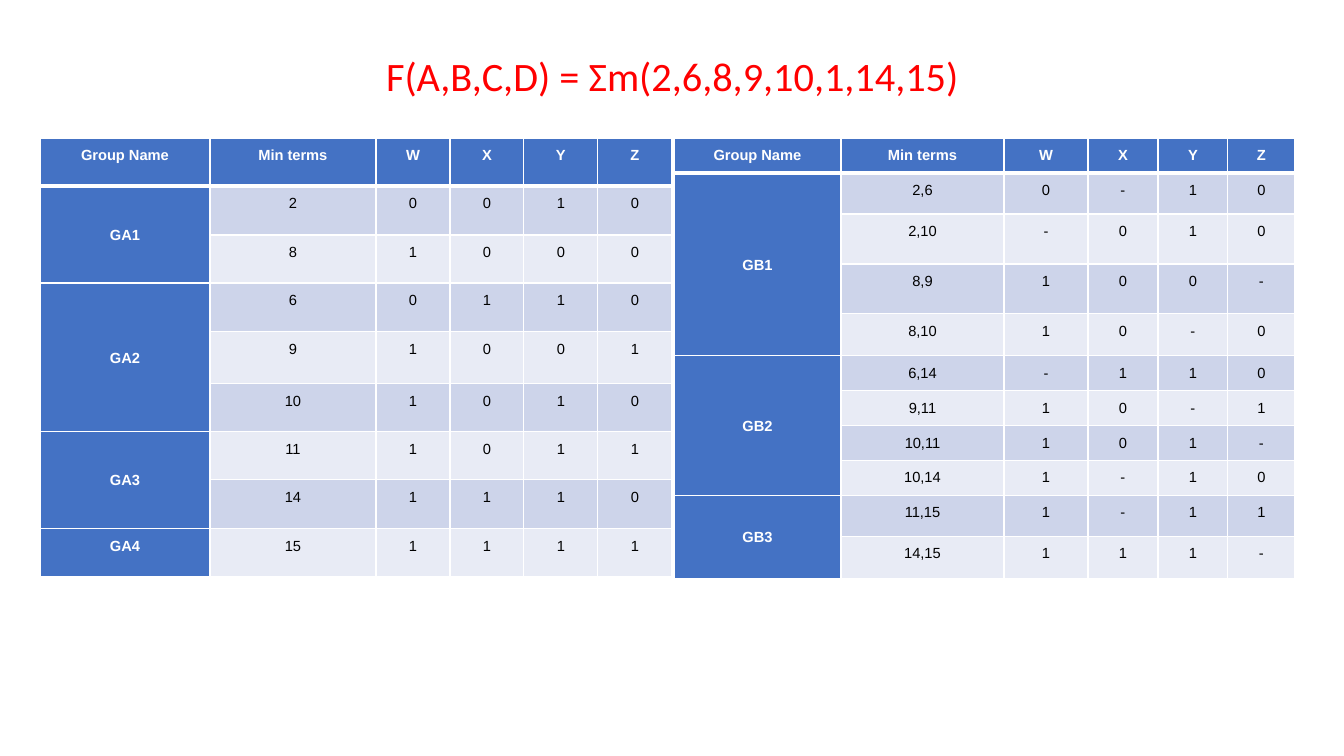
"""Build the slide with the two prime implicant grouping tables."""
import dataclasses
import typing

import lxml.etree
import pptx
import pptx.dml.color
import pptx.enum.text
import pptx.oxml.ns
import pptx.slide
import pptx.table
import pptx.text.text
import pptx.util

EMU_PER_PX = 914400 / 100.8
ANCHOR = pptx.enum.text.MSO_ANCHOR


@dataclasses.dataclass(frozen=True)
class Theme:
    title: str = "FF0000"
    heading: str = "4472C4"
    heading_text: str = "FFFFFF"
    value_text: str = "000000"
    rule: str = "FFFFFF"
    bands: tuple[str, str] = ("E8EBF5", "CDD4EA")
    title_font: str = "Calibri"
    table_font: str = "Arial"
    title_size: float = 28.8
    table_size: float = 10.5
    thin_rule: int = 1
    thick_rule: int = 3


@dataclasses.dataclass(frozen=True)
class Group:
    name: str
    terms: tuple[str, ...]


@dataclasses.dataclass(frozen=True)
class Grouping:
    left: int
    widths: tuple[int, ...]
    heights: tuple[int, ...]
    groups: tuple[Group, ...]


THEME = Theme()
TABLE_TOP = 138
CELL_INSET = 8
HEADINGS = ("Group Name", "Min terms", "W", "X", "Y", "Z")
GROUPINGS = (
    Grouping(
        40,
        (170, 166, 74, 74, 74, 74),
        (48, 49, 48, 49, 52, 48, 48, 49, 48),
        (
            Group("GA1", ("2 0 0 1 0", "8 1 0 0 0")),
            Group("GA2", ("6 0 1 1 0", "9 1 0 0 1", "10 1 0 1 0")),
            Group("GA3", ("11 1 0 1 1", "14 1 1 1 0")),
            Group("GA4", ("15 1 1 1 1",)),
        ),
    ),
    Grouping(
        674,
        (167, 163, 84, 70, 70, 67),
        (35, 41, 50, 50, 42, 35, 34, 35, 34, 41, 42),
        (
            Group("GB1", ("2,6 0 - 1 0", "2,10 - 0 1 0", "8,9 1 0 0 -", "8,10 1 0 - 0")),
            Group("GB2", ("6,14 - 1 1 0", "9,11 1 0 - 1", "10,11 1 0 1 -", "10,14 1 - 1 0")),
            Group("GB3", ("11,15 1 - 1 1", "14,15 1 1 1 -")),
        ),
    ),
)


def px(length: int) -> pptx.util.Emu:
    """Turn px into EMU."""
    return pptx.util.Emu(round(length * EMU_PER_PX))


def rgb(colour: str) -> pptx.dml.color.RGBColor:
    """Turn a hex string into a colour."""
    return pptx.dml.color.RGBColor.from_string(colour)


def write(frame: pptx.text.text.TextFrame, text: str, *, font: str, size: float,
          colour: str, bold: bool = False, spacing: float = 1.07) -> None:
    """Write one centred paragraph into a text frame."""
    frame.word_wrap = True
    paragraph = frame.paragraphs[0]
    paragraph.alignment = pptx.enum.text.PP_ALIGN.CENTER
    paragraph.line_spacing = spacing
    run = paragraph.add_run()
    run.text = text
    run.font.name = font
    run.font.size = pptx.util.Pt(size)
    run.font.bold = bold
    run.font.color.rgb = rgb(colour)


def rule_cell(cell: pptx.table._Cell, top: int, bottom: int) -> None:
    """Draw the four borders of a cell, with widths in points."""
    properties = cell._tc.get_or_add_tcPr()
    qn = pptx.oxml.ns.qn
    sides = {"a:lnL": THEME.thin_rule, "a:lnR": THEME.thin_rule, "a:lnT": top, "a:lnB": bottom}
    for side, width in sides.items():
        line = lxml.etree.SubElement(properties, qn(side), w=str(pptx.util.Pt(width)))
        fill = lxml.etree.SubElement(line, qn("a:solidFill"))
        lxml.etree.SubElement(fill, qn("a:srgbClr"), val=THEME.rule)


def style_cell(cell: pptx.table._Cell, row: int, column: int) -> None:
    """Give a cell its insets, borders and fill by its place in the table."""
    cell.margin_left = cell.margin_right = px(CELL_INSET)
    cell.margin_top = cell.margin_bottom = px(CELL_INSET)
    rule_cell(
        cell,
        top=THEME.thick_rule if row == 1 else THEME.thin_rule,
        bottom=THEME.thick_rule if row == 0 else THEME.thin_rule,
    )
    cell.fill.solid()
    is_heading = row == 0 or column == 0
    cell.fill.fore_color.rgb = rgb(THEME.heading if is_heading else THEME.bands[row % 2])


def write_row(table: pptx.table.Table, row: int, first_column: int,
              texts: typing.Iterable[str], heading: bool) -> None:
    """Write texts into neighbouring cells of a row."""
    for column, text in enumerate(texts, first_column):
        write(
            table.cell(row, column).text_frame, text,
            font=THEME.table_font, size=THEME.table_size, bold=heading,
            colour=THEME.heading_text if heading else THEME.value_text,
        )


def draw_grouping(slide: pptx.slide.Slide, grouping: Grouping) -> None:
    """Draw one table of grouped min terms."""
    table = slide.shapes.add_table(
        len(grouping.heights), len(HEADINGS), px(grouping.left), px(TABLE_TOP),
        px(sum(grouping.widths)), px(sum(grouping.heights)),
    ).table
    for column, width in zip(table.columns, grouping.widths):
        column.width = px(width)
    for row, height in zip(table.rows, grouping.heights):
        row.height = px(height)
    for row in range(len(grouping.heights)):
        for column in range(len(HEADINGS)):
            style_cell(table.cell(row, column), row, column)
    write_row(table, 0, 0, HEADINGS, heading=True)
    first = 1
    for group in grouping.groups:
        after = first + len(group.terms)
        if len(group.terms) > 1:
            table.cell(first, 0).merge(table.cell(after - 1, 0))
            table.cell(first, 0).vertical_anchor = ANCHOR.MIDDLE
        write_row(table, first, 0, (group.name,), heading=True)
        for row, term in enumerate(group.terms, first):
            write_row(table, row, 1, term.split(), heading=False)
        first = after


def main() -> None:
    """Build and save the presentation."""
    presentation = pptx.Presentation()
    presentation.slide_width = px(1344)
    presentation.slide_height = px(756)
    slide = presentation.slides.add_slide(presentation.slide_layouts[6])
    function = slide.shapes.add_textbox(px(93), px(40), px(1159), px(77)).text_frame
    function.vertical_anchor = ANCHOR.MIDDLE
    write(function, "F(A,B,C,D) = Σm(2,6,8,9,10,1,14,15)", font=THEME.title_font,
          size=THEME.title_size, colour=THEME.title, spacing=0.9)
    for grouping in GROUPINGS:
        draw_grouping(slide, grouping)
    presentation.save("out.pptx")


if __name__ == "__main__":
    main()
